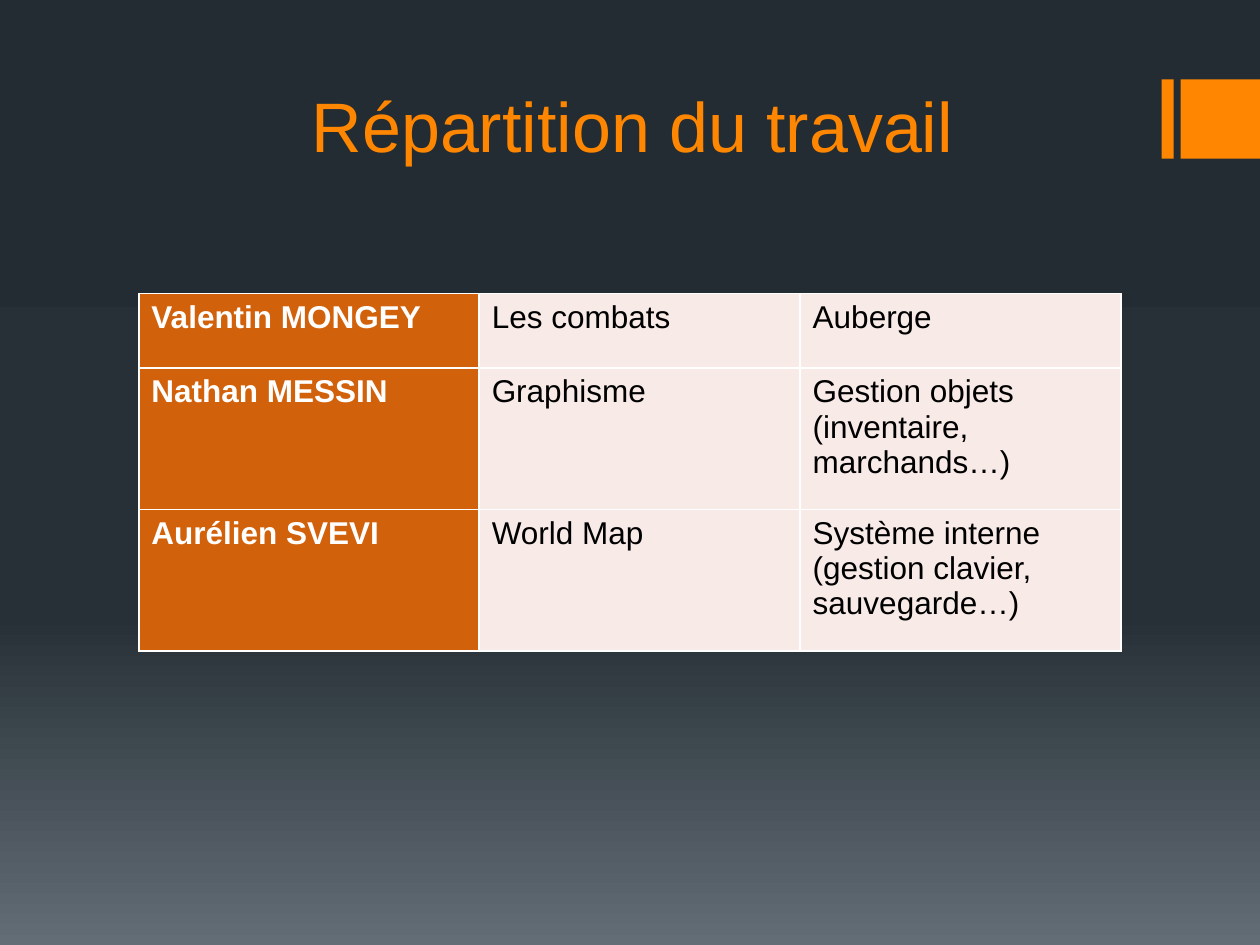
import copy

import pptx
import pptx.dml.color
import pptx.enum.shapes
import pptx.enum.text
import pptx.oxml
import pptx.oxml.ns
import pptx.util
from pptx.util import Cm

FONT = "Arial"
ORANGE = "FF8600"
WHITE = "FFFFFF"
TASKS = [
    ("Valentin MONGEY", "Les combats", "Auberge"),
    ("Nathan MESSIN", "Graphisme", "Gestion objets (inventaire, marchands…)"),
    ("Aurélien SVEVI", "World Map", "Système interne (gestion clavier, sauvegarde…)"),
]


def colour(code):
    """Turn a hex string into a colour."""
    return pptx.dml.color.RGBColor.from_string(code)


def style_font(para, size, code, bold=False):
    """Set the font of a whole paragraph."""
    font = para.font
    font.name, font.size, font.bold = FONT, pptx.util.Pt(size), bold
    font.color.rgb = colour(code)


def paint_background(page):
    """Fill the page with a vertical three-stop gradient."""
    fill = page.background.fill
    fill.gradient()
    fill.gradient_angle = 270
    stops = page.element.find(".//" + pptx.oxml.ns.qn("a:gsLst"))
    stops.append(copy.deepcopy(stops[-1]))
    shades = [(0, "242C33"), (0.65, "273037"), (1, "636D76")]
    for stop, (position, code) in zip(fill.gradient_stops, shades):
        stop.position = position
        stop.color.rgb = colour(code)


def add_accent(page, left, top, width, height):
    """Draw a thin bar and a square block against the right of the box."""
    bar_width = Cm(0.24)
    for x, part_width in [(left, bar_width), (left + width - height, height)]:
        block = page.shapes.add_shape(
            pptx.enum.shapes.MSO_SHAPE.RECTANGLE, x, top, part_width, height)
        block.shadow.inherit = False
        block.fill.solid()
        block.fill.fore_color.rgb = colour(ORANGE)
        block.line.fill.background()


def add_title(page, left, top, width, height):
    """Place the centred title in the box."""
    box = page.shapes.add_textbox(left, top, width, height)
    frame = box.text_frame
    frame.word_wrap = True
    frame.vertical_anchor = pptx.enum.text.MSO_ANCHOR.MIDDLE
    para = frame.paragraphs[0]
    para.text = "Répartition du travail"
    para.alignment = pptx.enum.text.PP_ALIGN.CENTER
    style_font(para, 40, ORANGE)


def add_borders(cell, code):
    """Give a cell a one-point line on each side."""
    properties = cell._tc.get_or_add_tcPr()
    for index, side in enumerate(("lnL", "lnR", "lnT", "lnB")):
        properties.insert(index, pptx.oxml.parse_xml(
            f'<a:{side} {pptx.oxml.ns.nsdecls("a")} w="12700"><a:solidFill>'
            f'<a:srgbClr val="{code}"/></a:solidFill></a:{side}>'))


def add_task_table(page, left, top, width, height):
    """Lay out one row per person, with the name in the first column."""
    table = page.shapes.add_table(
        len(TASKS), len(TASKS[0]), left, top, width, height).table
    name_width, first_height = Cm(6.86), Cm(1.5)
    task_width = (width - name_width) // 2
    task_height = (height - first_height) // 2
    for column, size in zip(table.columns, (name_width, task_width, task_width)):
        column.width = size
    for row, size in zip(table.rows, (first_height, task_height, task_height)):
        row.height = size
    for row, texts in zip(table.rows, TASKS):
        for index, (cell, text) in enumerate(zip(row.cells, texts)):
            is_name = index == 0
            cell.fill.solid()
            cell.fill.fore_color.rgb = colour("D2610C" if is_name else "F7EAE7")
            add_borders(cell, WHITE)
            para = cell.text_frame.paragraphs[0]
            para.text = text
            style_font(para, 18, WHITE if is_name else "000000", is_name)


def main():
    """Build the deck and save it."""
    deck = pptx.Presentation()
    deck.slide_width, deck.slide_height = Cm(25.4), Cm(19.05)
    page = deck.slides.add_slide(deck.slide_layouts[6])
    paint_background(page)
    add_accent(page, Cm(23.42), Cm(1.6), Cm(1.98), Cm(1.6))
    add_title(page, Cm(2.59), Cm(0.91), Cm(20.32), Cm(3.2))
    add_task_table(page, Cm(2.8), Cm(5.92), Cm(19.8), Cm(7.2))
    deck.save("out.pptx")


if __name__ == "__main__":
    main()
